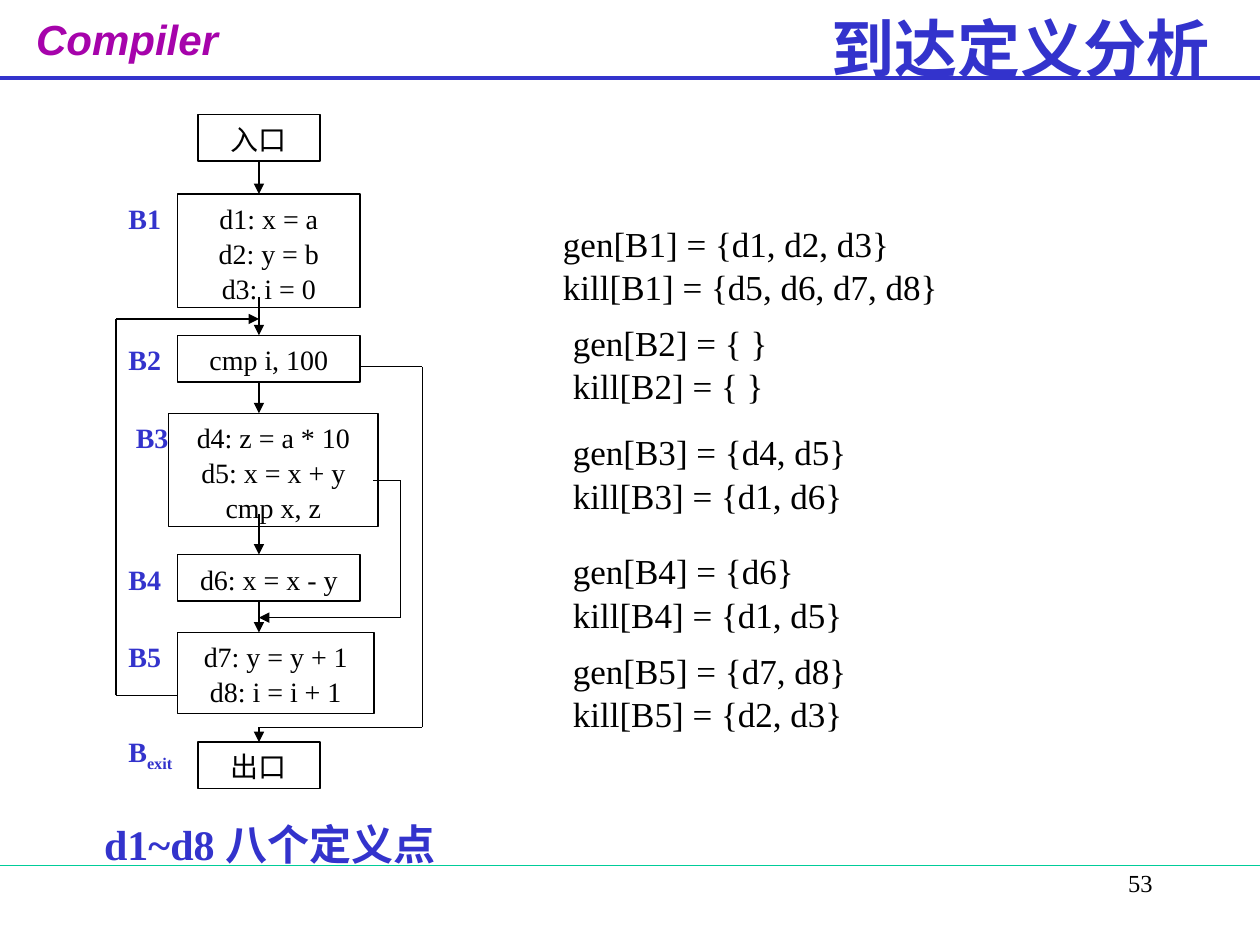
"""Build the reaching-definitions slide: a flow graph beside its gen and kill sets."""
from itertools import pairwise

from lxml import etree
from pptx import Presentation
from pptx import util as u
from pptx.dml.color import RGBColor
from pptx.enum import shapes, text
from pptx.oxml.ns import qn

BLACK, BLUE, PURPLE, GREEN = "000000", "3333CC", "A603AB", "00CC99"
LEFT, CENTER, RIGHT, JUSTIFY = (text.PP_ALIGN.LEFT, text.PP_ALIGN.CENTER,
                                text.PP_ALIGN.RIGHT, text.PP_ALIGN.JUSTIFY)


def write(sp, lines, size, color=BLACK, align=JUSTIFY, bold=False, wrap=True, font="Times New Roman"):
    tf = sp.text_frame
    tf.word_wrap = wrap
    tf.auto_size = text.MSO_AUTO_SIZE.NONE
    tf.vertical_anchor = text.MSO_ANCHOR.TOP
    for i, line in enumerate(lines):
        p = tf.add_paragraph() if i else tf.paragraphs[0]
        p.alignment = align
        p.line_spacing = 1.04
        r = p.add_run()
        r.text = line
        r.font.name, r.font.size, r.font.bold = font, u.Pt(size), bold
        r.font.color.rgb = RGBColor.from_string(color)
    return r


def connect(start, end, color=BLACK, width=0.75, arrow=False):
    c = s.shapes.add_connector(shapes.MSO_CONNECTOR.STRAIGHT, *map(u.Cm, start + end))
    c.line.color.rgb = RGBColor.from_string(color)
    c.line.width = u.Pt(width)
    if arrow:
        etree.SubElement(c.line._get_or_add_ln(), qn("a:tailEnd"), type="triangle")
    etree.SubElement(c._element.spPr, qn("a:effectLst"))
    return c


prs = Presentation()
prs.slide_width, prs.slide_height = u.Cm(25.4), u.Cm(19.05)
s = prs.slides.add_slide(prs.slide_layouts[5])

title = s.shapes.title
title.left, title.top, title.width, title.height = u.Cm(16.51), u.Cm(0), u.Cm(8.89), u.Cm(1.6)
write(title, ["到达定义分析"], 36, BLUE, LEFT, bold=True)

course = s.shapes.add_textbox(u.Cm(0.48), u.Cm(0.1), u.Cm(4.85), u.Cm(1.57))
r = write(course, ["Compiler"], 24, PURPLE, LEFT, bold=True, wrap=False, font="Arial")
r.font.italic = True
connect((0, 1.57), (25.4, 1.57), BLUE, 2.25)
connect((0, 17.45), (25.4, 17.45), GREEN)
number = s.shapes.add_textbox(u.Cm(18.21), u.Cm(17.35), u.Cm(5.28), u.Cm(1.27))
write(number, ["53"], 14, align=RIGHT)

sets = [
    ("B1", 11.1, 4.32, "{d1, d2, d3}", "{d5, d6, d7, d8}"),
    ("B2", 11.3, 6.32, "{ }", "{ }"),
    ("B3", 11.3, 8.53, "{d4, d5}", "{d1, d6}"),
    ("B4", 11.3, 10.92, "{d6}", "{d1, d5}"),
    ("B5", 11.3, 12.93, "{d7, d8}", "{d2, d3}"),
]
for block, x, y, gen, kill in sets:
    sp = s.shapes.add_textbox(u.Cm(x), u.Cm(y), u.Cm(9.8), u.Cm(1.65))
    write(sp, [f"gen[{block}] = {gen}", f"kill[{block}] = {kill}"], 20)

blocks = [
    (3.99, 2.31, 2.46, 0.94, ["入口"]),
    (3.58, 3.91, 3.68, 2.29, ["d1: x = a", "d2: y = b", "d3: i = 0"]),
    (3.58, 6.76, 3.68, 0.94, ["cmp i, 100"]),
    (3.4, 8.33, 4.22, 2.29, ["d4: z = a * 10", "d5: x = x + y", "cmp x, z"]),
    (3.58, 11.18, 3.68, 0.94, ["d6: x = x - y"]),
    (3.58, 12.75, 3.96, 1.63, ["d7: y = y + 1", "d8: i = i + 1"]),
    (3.99, 14.96, 2.46, 0.94, ["出口"]),
]
nodes = []
for x, y, w, h, code in blocks:
    sp = s.shapes.add_shape(shapes.MSO_SHAPE.RECTANGLE, u.Cm(x), u.Cm(y), u.Cm(w), u.Cm(h))
    sp.shadow.inherit = False
    sp.fill.solid()
    sp.fill.fore_color.rgb = RGBColor.from_string("FFFFFF")
    sp.line.color.rgb = RGBColor.from_string(BLACK)
    sp.line.width = u.Pt(0.75)
    write(sp, code, 16, align=CENTER)
    nodes.append(sp)

axis = 5.22
routes = [
    [(axis, 3.25), (axis, 3.91)],
    [(axis, 5.99), (axis, 6.76)],
    [(axis, 7.7), (axis, 8.33)],
    [(axis, 10.36), (axis, 11.18)],
    [(axis, 12.14), (axis, 12.75)],
    [(7.52, 9.68), (8.08, 9.68), (8.08, 12.45), (axis, 12.45)],
    [(3.58, 14.02), (2.34, 14.02), (2.34, 6.43), (axis, 6.43)],
    [(7.26, 7.39), (8.51, 7.39), (8.51, 14.66), (axis, 14.66), (axis, 14.96)],
]
arrows = []
for route in routes:
    for start, end in pairwise(route):
        c = connect(start, end, arrow=end == route[-1])
    arrows.append(c)
arrows[0].begin_connect(nodes[0], 2)
arrows[-1].end_connect(nodes[-1], 0)

labels = [("B1", 2.34, 3.91), ("B2", 2.34, 6.76), ("B3", 2.49, 8.33),
          ("B4", 2.34, 11.18), ("B5", 2.34, 12.75), ("B", 2.34, 14.66)]
for label, x, y in labels:
    sp = s.shapes.add_textbox(u.Cm(x), u.Cm(y), u.Cm(2.06), u.Cm(0.94))
    write(sp, [label], 16, BLUE, bold=True)
r = sp.text_frame.paragraphs[0].add_run()
r.text = "exit"
r.font.name, r.font.size, r.font.bold = "Times New Roman", u.Pt(16), True
r.font.color.rgb = RGBColor.from_string(BLUE)
r.font._element.set("baseline", "-25000")

summary = s.shapes.add_textbox(u.Cm(1.85), u.Cm(16.33), u.Cm(7.37), u.Cm(1.27))
write(summary, ["d1~d8 八个定义点"], 24, BLUE, LEFT, bold=True, wrap=False)

prs.save("out.pptx")
